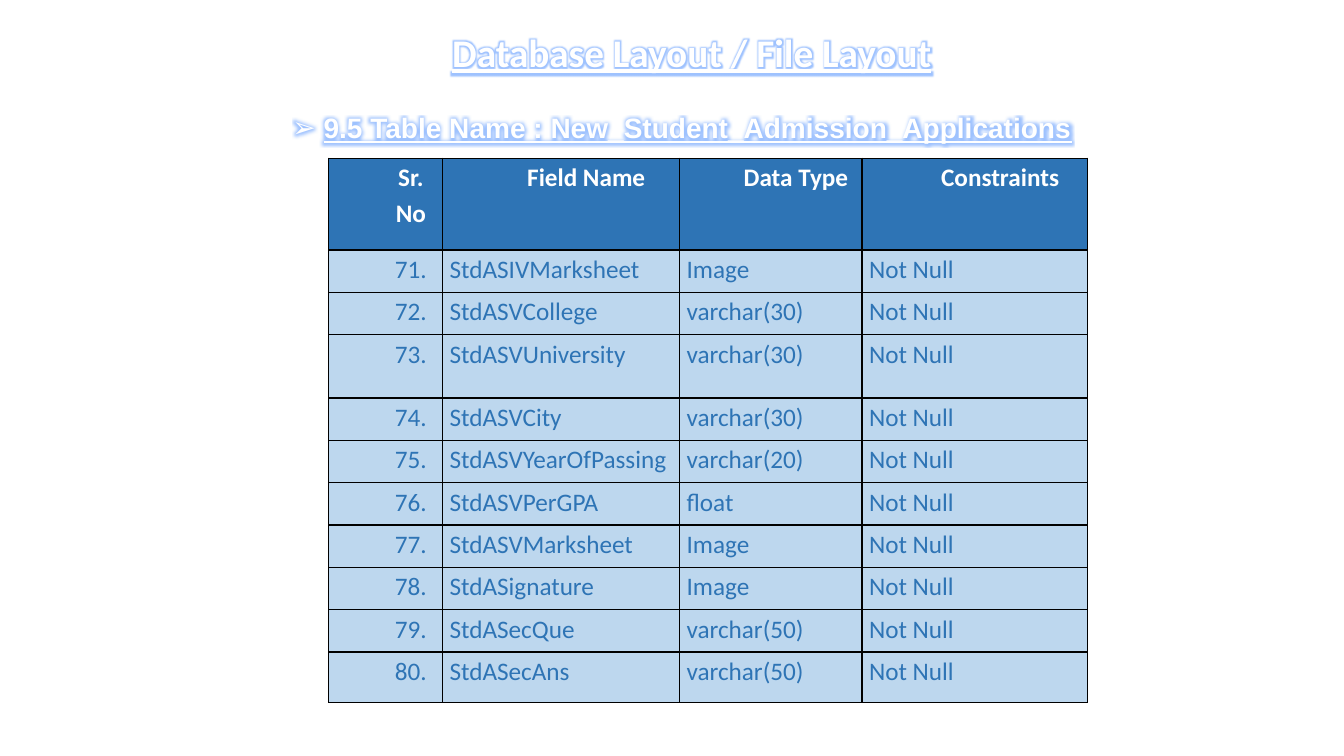
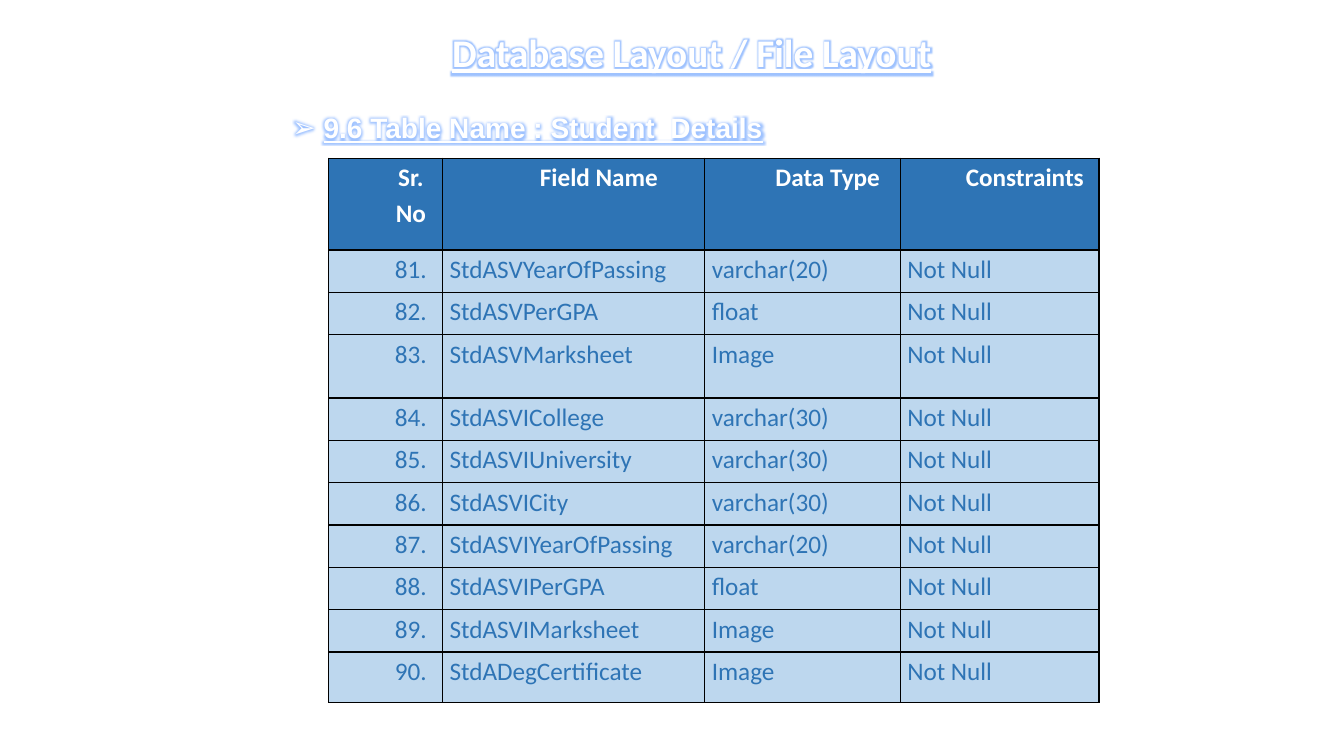
from lxml.etree import SubElement
from pptx import Presentation
from pptx.dml.color import RGBColor
from pptx.enum.text import MSO_ANCHOR, MSO_AUTO_SIZE, PP_ALIGN
from pptx.oxml import parse_xml
from pptx.oxml.ns import nsdecls, qn
from pptx.util import Inches, Pt

WHITE, BLACK = "FFFFFF", "000000"
HEADER_BLUE, ROW_BLUE, GLOW_BLUE = "2E74B5", "BDD7EE", "3D85FF"
HEADERS = ["Sr. No", "Field Name", "Data Type", "Constraints"]
ROW_HEIGHTS = [0.91, 0.42, 0.42, 0.63] + [0.42] * 6 + [0.5]

ADMISSION_FIELDS = [
    ("StdASIVMarksheet", "Image"),
    ("StdASVCollege", "varchar(30)"),
    ("StdASVUniversity", "varchar(30)"),
    ("StdASVCity", "varchar(30)"),
    ("StdASVYearOfPassing", "varchar(20)"),
    ("StdASVPerGPA", "float"),
    ("StdASVMarksheet", "Image"),
    ("StdASignature", "Image"),
    ("StdASecQue", "varchar(50)"),
    ("StdASecAns", "varchar(50)"),
]
DETAIL_FIELDS = [
    ("StdASVYearOfPassing", "varchar(20)"),
    ("StdASVPerGPA", "float"),
    ("StdASVMarksheet", "Image"),
    ("StdASVICollege", "varchar(30)"),
    ("StdASVIUniversity", "varchar(30)"),
    ("StdASVICity", "varchar(30)"),
    ("StdASVIYearOfPassing", "varchar(20)"),
    ("StdASVIPerGPA", "float"),
    ("StdASVIMarksheet", "Image"),
    ("StdADegCertificate", "Image"),
]


def color(value):
    return RGBColor.from_string(value)


class LayoutDeck:
    """Holds the deck, its style and the current slide."""

    def __init__(self):
        self.deck = Presentation()
        self.deck.slide_width = Inches(13.33)
        self.deck.slide_height = Inches(7.5)
        self.page = None

    def add_page(self):
        self.page = self.deck.slides.add_slide(self.deck.slide_layouts[1])

    def style(self, paragraph, size, font_color, bold=False, underline=False, name="Calibri"):
        font = paragraph.font
        font.size, font.name = Pt(size), name
        font.bold, font.underline = bold, underline
        font.color.rgb = color(font_color)

    def indent(self, paragraph, left, first=0):
        properties = paragraph._p.get_or_add_pPr()
        properties.set("marL", str(Inches(left)))
        properties.set("indent", str(Inches(first)))
        return properties

    def glowing_text(self, box, text, left, top, width, height):
        box.left, box.top = Inches(left), Inches(top)
        box.width, box.height = Inches(width), Inches(height)
        frame = box.text_frame
        frame.text = text
        frame.word_wrap = True
        frame.auto_size = MSO_AUTO_SIZE.NONE
        frame.vertical_anchor = MSO_ANCHOR.TOP
        paragraph = frame.paragraphs[0]
        paragraph.runs[0]._r.get_or_add_rPr().append(parse_xml(
            f'<a:effectLst {nsdecls("a")}><a:glow rad="63500"><a:srgbClr val="{GLOW_BLUE}">'
            '<a:alpha val="50000"/></a:srgbClr></a:glow></a:effectLst>'))
        return paragraph

    def title(self, text):
        paragraph = self.glowing_text(self.page.shapes.title, text, 1.86, 0.23, 10, 1.04)
        paragraph.alignment = PP_ALIGN.CENTER
        self.style(paragraph, 28, WHITE, bold=True, underline=True)

    def table_name(self, text, width):
        paragraph = self.glowing_text(self.page.placeholders[1], text, 2.3, 1, width, 0.49)
        properties = self.indent(paragraph, 0.81, -0.31)
        SubElement(properties, qn("a:buChar")).set("char", "➢")
        paragraph.line_spacing = 1.15
        paragraph.space_before = Pt(0)
        self.style(paragraph, 20, WHITE, bold=True, underline=True, name="Arial")

    def cell(self, cell, text, is_header, is_centered):
        cell.margin_left = cell.margin_right = Inches(0.07)
        cell.margin_top = cell.margin_bottom = 0
        properties = cell._tc.get_or_add_tcPr()
        for side in "LRTB":
            properties.append(parse_xml(
                f'<a:ln{side} {nsdecls("a")} w="12700"><a:solidFill>'
                f'<a:srgbClr val="{BLACK}"/></a:solidFill></a:ln{side}>'))
        cell.fill.solid()
        cell.fill.fore_color.rgb = color(HEADER_BLUE if is_header else ROW_BLUE)
        cell.text = text
        paragraph = cell.text_frame.paragraphs[0]
        paragraph.line_spacing = 1.15
        if is_centered:
            self.indent(paragraph, 0.5)
            paragraph.alignment = PP_ALIGN.CENTER
        self.style(paragraph, 18, WHITE if is_header else HEADER_BLUE, bold=is_header)

    def field_table(self, first_number, fields, widths):
        rows = [HEADERS] + [
            [f"{number}.", name, data_type, "Not Null"]
            for number, (name, data_type) in enumerate(fields, first_number)]
        table = self.page.shapes.add_table(
            len(rows), len(HEADERS), Inches(3.26), Inches(1.57),
            Inches(sum(widths)), Inches(sum(ROW_HEIGHTS))).table
        table.first_row = table.horz_banding = False
        for column, width in zip(table.columns, widths):
            column.width = Inches(width)
        for row_index, (row, height) in enumerate(zip(rows, ROW_HEIGHTS)):
            table.rows[row_index].height = Inches(height)
            for column_index, text in enumerate(row):
                is_header = row_index == 0
                self.cell(table.cell(row_index, column_index), text,
                          is_header, is_header or column_index == 0)


def main():
    layout = LayoutDeck()
    for name, name_width, first_number, fields, widths in [
        ("9.5 Table Name : New_Student_Admission_Applications", 8.5, 71,
         ADMISSION_FIELDS, [1.13, 2.35, 1.81, 2.24]),
        ("9.6 Table Name : Student_Details", 5.41, 81,
         DETAIL_FIELDS, [1.13, 2.6, 1.94, 1.97]),
    ]:
        layout.add_page()
        layout.title("Database Layout / File Layout")
        layout.table_name(name, name_width)
        layout.field_table(first_number, fields, widths)
    layout.deck.save("out.pptx")


if __name__ == "__main__":
    main()
